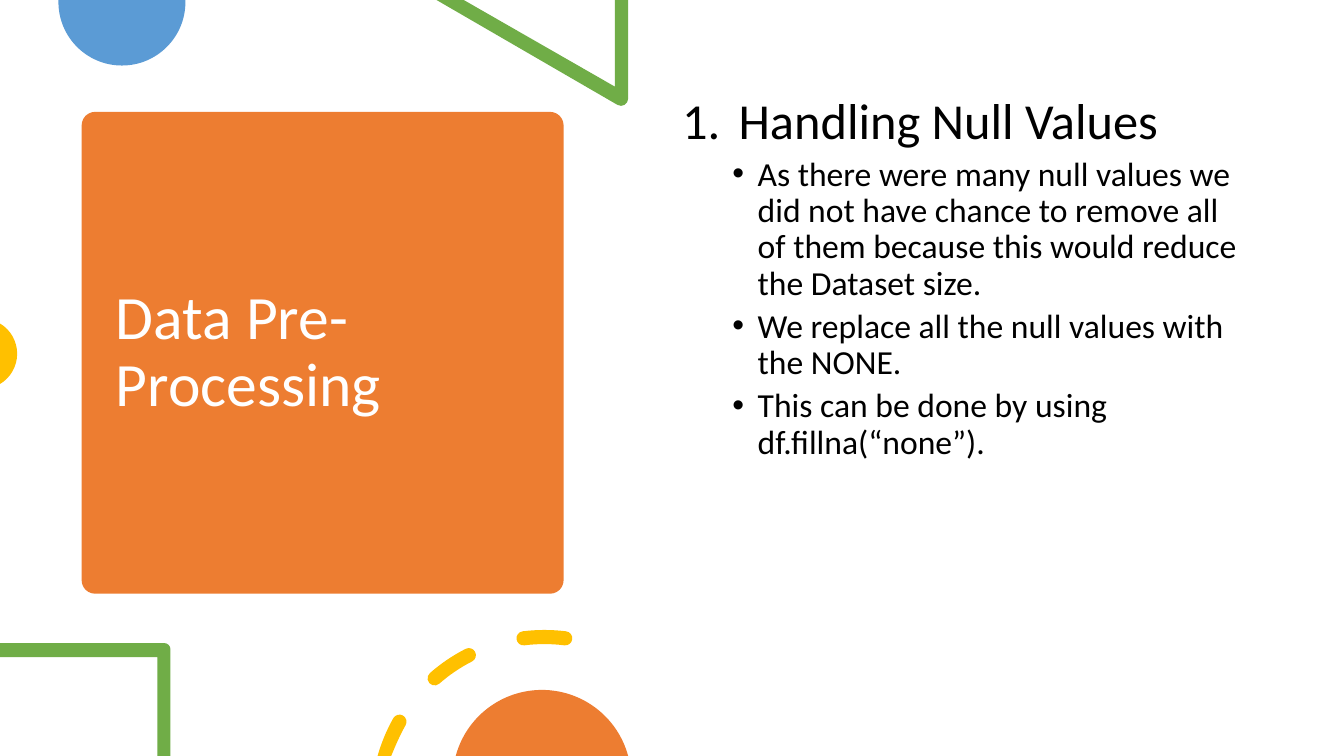
from math import ceil, cos, dist, radians, sin, tan
from lxml import etree
from pptx import Presentation
from pptx import util as u
from pptx.dml.color import RGBColor
from pptx.enum import shapes, text
from pptx.oxml.ns import qn

WIDE, HIGH = 13.33, 7.5
FONT = "Calibri"
HUES = {"orange": "ED7D31", "blue": "5B9BD5", "green": "70AD47",
        "gold": "FFC000", "white": "FFFFFF", "black": "000000"}
TITLE = "Data Pre-Processing"
BODY = [
    (0, "Handling Null Values"),
    (1, "As there were many null values we did not have chance to remove all "
        "of them because this would reduce the Dataset size."),
    (1, "We replace all the null values with the NONE."),
    (1, "This can be done by using df.fillna(“none”)."),
]
LEVELS = [
    {"size": 36, "left": 0.56, "hang": 0.56, "gap": 10,
     "mark": ("a:buAutoNum", {"type": "arabicPeriod"})},
    {"size": 24, "left": 0.75, "hang": 0.25, "gap": 5,
     "mark": ("a:buChar", {"char": "•"})},
]
RING = {"x": 5.4, "y": 7.97, "r": 1.65, "half": 0.07}
DASHES = [(195.9, 209.4, False), (228.7, 243, True), (262.8, 277.2, True)]


def lines(*spots):
    return [(spot,) for spot in spots]


def arc(x, y, r, start, end):
    count = ceil(abs(end - start) / 90)
    step = radians(end - start) / count
    pull = 4 / 3 * tan(step / 4)

    def spot(turn, lean=0):
        return (x + r * (cos(turn) - lean * sin(turn)),
                y + r * (sin(turn) + lean * cos(turn)))

    turns = [radians(start) + step * i for i in range(count + 1)]
    return lines(spot(turns[0])) + [
        (spot(a, pull), spot(b, -pull), spot(b)) for a, b in zip(turns, turns[1:])]


def dash(start, end, capped):
    x, y, r, half = RING["x"], RING["y"], RING["r"], RING["half"]

    def cap(turn, first):
        mid = x + r * cos(radians(turn)), y + r * sin(radians(turn))
        return arc(*mid, half, first, first + 180)

    loop = arc(x, y, r + half, start, end) + cap(end, end)
    loop += arc(x, y, r - half, end, start)
    return loop + cap(start, start + 180) if capped else loop


ART = [
    ("blue", [lines((0.58, 0)) + arc(1.21, 0.02, 0.63, 180, 0)
              + lines((1.84, 0))]),
    ("green", [lines((6.23, 0), (6.1, 0), (6.1, 0.86), (4.6, 0), (4.33, 0))
               + arc(6.16, 0.98, 0.07, 120, 0)]),
    ("gold", [arc(-0.18, 3.51, 0.35, -59, 59)]),
    ("green", [lines((0, 6.38), (0, 6.52), (1.56, 6.52), (1.56, HIGH),
                     (1.69, HIGH)) + arc(1.63, 6.44, 0.06, 360, 270)]),
    ("gold", [dash(*part) for part in DASHES]),
    ("orange", [arc(5.375, 7.73, 0.885, 195, 345)]),
]


def paint(shape, hue):
    shape.fill.solid()
    shape.fill.fore_color.rgb = RGBColor.from_string(HUES[hue])
    shape.line.fill.background()
    shape.shadow.inherit = False


def place(shape, *box):
    shape.left, shape.top, shape.width, shape.height = map(u.Inches, box)


def style(para, size, hue):
    para.line_spacing = 0.9
    para.alignment = text.PP_ALIGN.LEFT
    for run in para.runs:
        run.font.size = u.Pt(size)
        run.font.name = FONT
        run.font.color.rgb = RGBColor.from_string(HUES[hue])


def trim(loop):
    kept = loop[:1]
    for step in loop[1:]:
        if len(step) == 3 or dist(step[0], kept[-1][-1]) > 0.01:
            kept.append(step)
    return kept


def bend(shape, loops):
    nodes = iter(list(shape._element.iter(qn("a:lnTo"))))
    for loop in loops:
        for step in loop[1:]:
            group = [next(nodes) for _ in step]
            if len(group) == 3:
                curve = etree.Element(qn("a:cubicBezTo"))
                group[0].addprevious(curve)
                for node in group:
                    curve.append(node[0])
                    node.getparent().remove(node)


def draw(slide, hue, loops):
    loops = [trim(loop) for loop in loops]
    pen = None
    for loop in loops:
        spots = [(u.Inches(max(x, 0)), u.Inches(min(max(y, 0), HIGH)))
                 for step in loop for x, y in step]
        if pen:
            pen.move_to(*spots[0])
        else:
            pen = slide.shapes.build_freeform(*spots[0])
        pen.add_line_segments(spots[1:], close=True)
    shape = pen.convert_to_shape()
    bend(shape, loops)
    paint(shape, hue)


def head(slide):
    side = 4.78
    card = slide.shapes.add_shape(shapes.MSO_SHAPE.ROUNDED_RECTANGLE,
                                  u.Inches(0.81), u.Inches(1.11),
                                  u.Inches(side), u.Inches(side))
    card.adjustments[0] = 0.028
    paint(card, "orange")
    title = slide.shapes.title
    title._element.addprevious(card._element)
    place(title, 1.05, 1.22, 4.31, 4.56)
    frame = title.text_frame
    frame.text = TITLE
    frame.word_wrap = True
    frame.auto_size = text.MSO_AUTO_SIZE.NONE
    frame.vertical_anchor = text.MSO_ANCHOR.MIDDLE
    style(frame.paragraphs[0], 44, "white")


def points(slide):
    body = slide.placeholders[1]
    place(body, WIDE / 2, 0.9, 5.75, 5.35)
    frame = body.text_frame
    frame.text = "\n".join(line for _, line in BODY)
    frame.word_wrap = True
    frame.auto_size = text.MSO_AUTO_SIZE.NONE
    for para, (level, _) in zip(frame.paragraphs, BODY):
        look = LEVELS[level]
        para.level = level
        para.space_before = u.Pt(look["gap"])
        style(para, look["size"], "black")
        props = para._p.get_or_add_pPr()
        props.set("marL", str(u.Inches(look["left"])))
        props.set("indent", str(-u.Inches(look["hang"])))
        face = "Arial" if level else FONT
        etree.SubElement(props, qn("a:buFont"), typeface=face)
        tag, kind = look["mark"]
        etree.SubElement(props, qn(tag), kind)


def main():
    deck = Presentation()
    deck.slide_width, deck.slide_height = u.Inches(WIDE), u.Inches(HIGH)
    slide = deck.slides.add_slide(deck.slide_layouts[1])
    head(slide)
    for hue, loops in ART:
        draw(slide, hue, loops)
    points(slide)
    deck.save("out.pptx")


if __name__ == "__main__":
    main()
